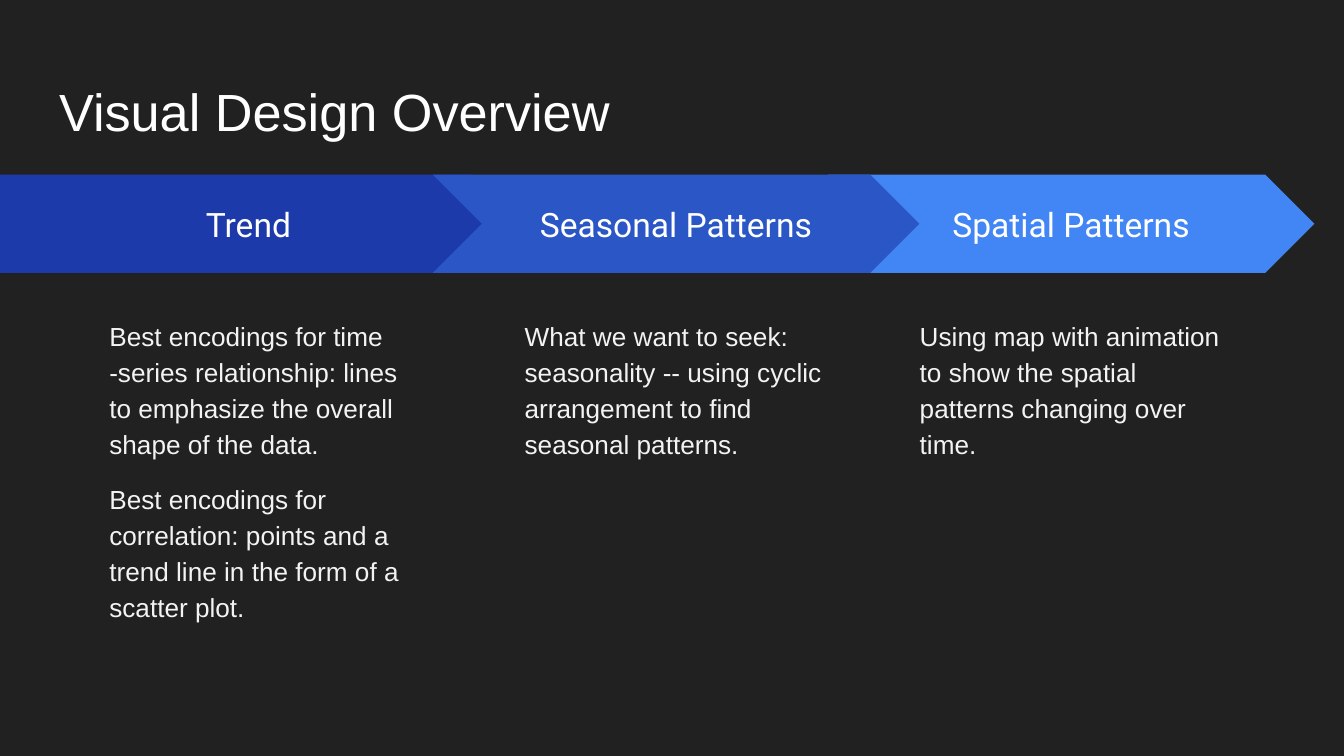
from pptx import Presentation
from pptx.dml.color import RGBColor
from pptx.enum.shapes import MSO_SHAPE as Shape
from pptx.enum.text import MSO_ANCHOR as Anchor, MSO_AUTO_SIZE as Fit, PP_ALIGN as Align
from pptx.util import Inches, Pt

# Steps from back to front: left, width, shape, fill, label, notes
STEPS = [
    (6.16, 3.62, Shape.CHEVRON, "4285F4", "Spatial Patterns",
     ["Using map with animation to show the spatial patterns changing over time."]),
    (0, 3.88, Shape.PENTAGON, "1C3AA9", "Trend",
     ["Best encodings for time -series relationship: lines to emphasize "
      "the overall shape of the data.",
      "Best encodings for correlation: points and a trend line "
      "in the form of a scatter plot."]),
    (3.22, 3.62, Shape.CHEVRON, "2A56C6", "Seasonal Patterns",
     ["What we want to seek: seasonality -- using cyclic arrangement "
      "to find seasonal patterns."]),
]
NOTE_W = 2.45


def color(code):
    return RGBColor.from_string(code)


def box(left, top, width, height):
    return [Inches(v) for v in (left, top, width, height)]


def set_frame(frame, anchor):
    frame.word_wrap = True
    frame.auto_size = Fit.NONE
    frame.vertical_anchor = anchor
    frame.margin_left = frame.margin_right = Inches(0.1)
    frame.margin_top = frame.margin_bottom = Inches(0.1)


def style(para, face, size, code, align=Align.LEFT):
    para.alignment = align
    para.font.name = face
    para.font.size = Pt(size)
    para.font.color.rgb = color(code)


def add_title(slide, text, left, top, width, height):
    title = slide.shapes.title
    title.left, title.top, title.width, title.height = box(left, top, width, height)
    set_frame(title.text_frame, Anchor.TOP)
    title.text_frame.text = text
    style(title.text_frame.paragraphs[0], "Arial", 28, "FFFFFF")


def add_arrow(slide, kind, fill, label, left, top, width, height):
    arrow = slide.shapes.add_shape(kind, *box(left, top, width, height))
    arrow.shadow.inherit = False
    arrow.fill.solid()
    arrow.fill.fore_color.rgb = color(fill)
    arrow.line.fill.background()
    set_frame(arrow.text_frame, Anchor.MIDDLE)
    arrow.text_frame.text = label
    style(arrow.text_frame.paragraphs[0], "Roboto", 18, "FFFFFF", Align.CENTER)


def add_notes(slide, lines, left, top, width, height):
    frame = slide.shapes.add_textbox(*box(left, top, width, height)).text_frame
    set_frame(frame, Anchor.TOP)
    frame.text = "\n".join(lines)
    for para in frame.paragraphs:
        para.line_spacing = 1.15
        para.space_after = Pt(10)
        style(para, "Arial", 14, "F3F3F3")


def add_step(slide, kind, fill, label, lines, left, top, width):
    add_arrow(slide, kind, fill, label, left, top, width, 0.73)
    # Notes sit under the arrow, centred on it
    inset = (width - NOTE_W) / 2
    add_notes(slide, lines, left + inset, top + 0.95, NOTE_W, 2.86)


def main():
    deck = Presentation()
    # Widescreen, 16:9
    deck.slide_width = Inches(10)
    deck.slide_height = deck.slide_width * 9 // 16
    slide = deck.slides.add_slide(deck.slide_layouts[5])
    slide.background.fill.solid()
    slide.background.fill.fore_color.rgb = color("212121")

    add_title(slide, "Visual Design Overview", 0.34, 0.49, 9.32, 0.63)
    for left, width, kind, fill, label, lines in STEPS:
        add_step(slide, kind, fill, label, lines, left, 1.3, width)
    deck.save("out.pptx")


if __name__ == "__main__":
    main()
